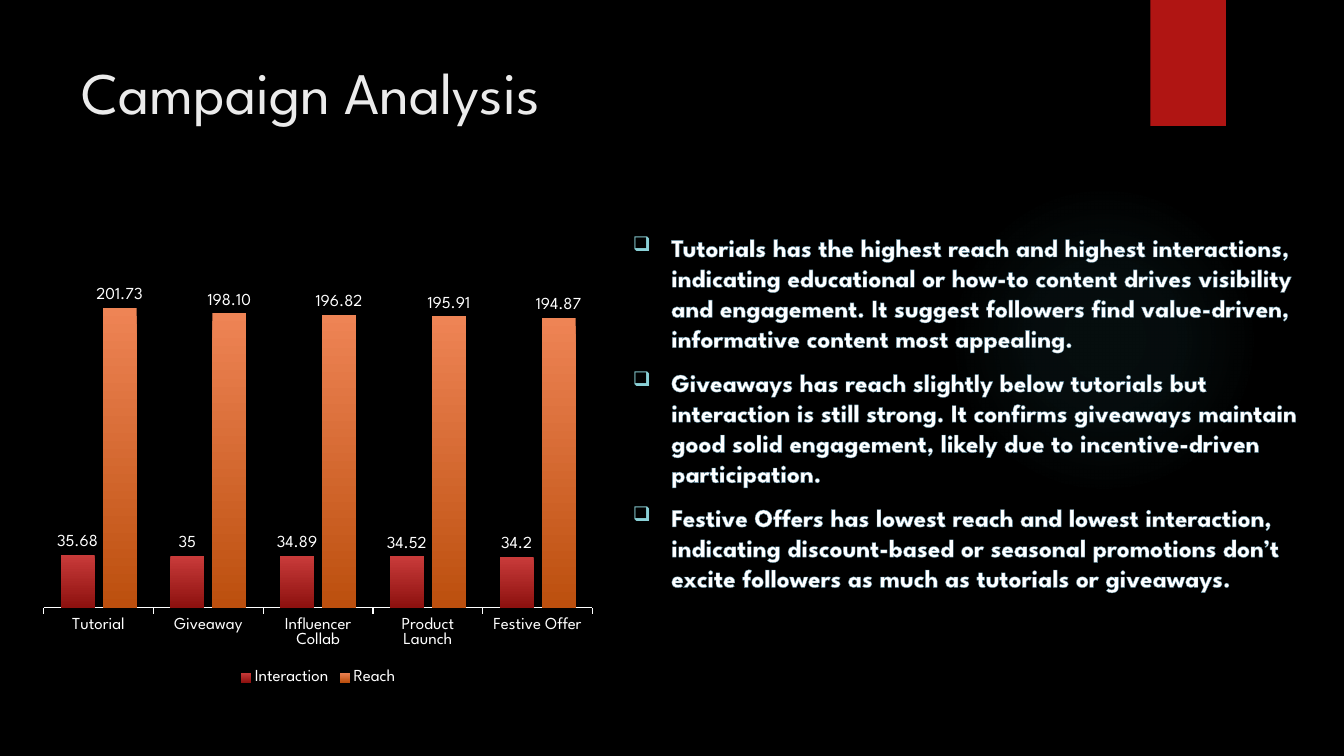
from lxml import etree
from pptx import Presentation
from pptx.chart.data import CategoryChartData
from pptx.dml.color import RGBColor
from pptx.enum.chart import XL_CHART_TYPE, XL_LABEL_POSITION, XL_LEGEND_POSITION, XL_TICK_MARK
from pptx.enum.shapes import MSO_SHAPE
from pptx.oxml import parse_xml
from pptx.oxml.ns import nsdecls, qn
from pptx.util import Inches, Pt

COLUMNS = XL_CHART_TYPE.COLUMN_CLUSTERED
OUTSIDE_END = XL_LABEL_POSITION.OUTSIDE_END
BOTTOM = XL_LEGEND_POSITION.BOTTOM
TICK_OUT = XL_TICK_MARK.OUTSIDE
OVAL = MSO_SHAPE.OVAL
RECTANGLE = MSO_SHAPE.RECTANGLE

FONT = "League Spartan"
COLORS = {
    "background": "000000", "glow": "50B9C1", "ribbon": "B01513",
    "title": "EBEBEB", "text": "FFFFFF", "outline": "54849A", "bullet": "8AD0D6",
    "red_top": "C93B3A", "red_bottom": "8D110F",
    "orange_top": "EE8455", "orange_bottom": "BC4F0E",
}
LINEAR = '<a:lin ang="5400000" scaled="0"/>'
RADIAL = '<a:path path="circle"><a:fillToRect l="50000" t="50000" r="50000" b="50000"/></a:path>'

CATEGORIES = ["Tutorial", "Giveaway", "Influencer Collab", "Product Launch", "Festive Offer"]
# name, values, number format, top color, bottom color
SERIES = [
    ("Interaction", [35.68, 35, 34.89, 34.52, 34.2], "General", "red_top", "red_bottom"),
    ("Reach", [201.73, 198.1, 196.82, 195.91, 194.87], "#,##0.00", "orange_top", "orange_bottom"),
]
FINDINGS = [
    "Tutorials has the highest reach and highest interactions, indicating educational or "
    "how-to content drives visibility and engagement. It suggest followers find value-driven, "
    "informative content most appealing.",
    "Giveaways has reach slightly below tutorials but interaction is still strong. It confirms "
    "giveaways maintain good solid engagement, likely due to incentive-driven participation.",
    "Festive Offers has lowest reach and lowest interaction, indicating discount-based or "
    "seasonal promotions don’t excite followers as much as tutorials or giveaways.",
]


def rgb(name):
    return RGBColor.from_string(COLORS[name])


class SlideBuilder:
    def __init__(self, slide):
        self.slide = slide
        slide.background.fill.solid()
        slide.background.fill.fore_color.rgb = rgb("background")

    def style(self, font, size, color="text", bold=False):
        font.name, font.size, font.bold = FONT, Pt(size), bold
        font.color.rgb = rgb(color)

    def gradient(self, fill, spPr, stops, direction):
        """Stops are (position %, color, opacity %)."""
        fill.solid()
        gs = "".join(
            f'<a:gs pos="{pos * 1000}"><a:srgbClr val="{COLORS[color]}">'
            f'<a:alpha val="{alpha * 1000}"/></a:srgbClr></a:gs>'
            for pos, color, alpha in stops)
        grad = parse_xml(f'<a:gradFill {nsdecls("a")} rotWithShape="1">'
                         f'<a:gsLst>{gs}</a:gsLst>{direction}</a:gradFill>')
        spPr.replace(spPr.find(qn("a:solidFill")), grad)

    def shape(self, kind, box, color):
        sp = self.slide.shapes.add_shape(kind, *map(Inches, box))
        sp.fill.solid()
        sp.fill.fore_color.rgb = rgb(color)
        sp.line.fill.background()
        sp.shadow.inherit = False
        return sp

    def glow(self, box):
        sp = self.shape(OVAL, box, "glow")
        stops = [(0, "glow", 7), (36, "glow", 6), (69, "glow", 0)]
        self.gradient(sp.fill, sp._element.spPr, stops, RADIAL)

    def ribbon(self, box):
        sp = self.shape(RECTANGLE, box, "ribbon")
        effects = sp._element.spPr.find(qn("a:effectLst"))
        effects.append(parse_xml(
            f'<a:outerShdw {nsdecls("a")} blurRad="{Pt(3)}" dist="{Pt(2)}" dir="5400000" '
            'rotWithShape="0"><a:srgbClr val="000000"><a:alpha val="45000"/></a:srgbClr></a:outerShdw>'))

    def text(self, box, paragraphs, size, color, bold=False):
        tf = self.slide.shapes.add_textbox(*map(Inches, box)).text_frame
        tf.word_wrap = True
        tf.text = "\n".join(paragraphs)
        for p in tf.paragraphs:
            self.style(p.runs[0].font, size, color, bold)
        return tf

    def bullets(self, box, paragraphs):
        for p in self.text(box, paragraphs, 18, "text", bold=True).paragraphs:
            p.space_before = Pt(10)
            pPr = p._p.get_or_add_pPr()
            pPr.set("marL", str(Inches(0.38)))
            pPr.set("indent", str(Inches(-0.38)))
            color = etree.SubElement(pPr, qn("a:buClr"))
            etree.SubElement(color, qn("a:srgbClr"), val=COLORS["bullet"])
            etree.SubElement(pPr, qn("a:buSzPct"), val="80000")
            etree.SubElement(pPr, qn("a:buChar"), char="❑")
            p.runs[0]._r.get_or_add_rPr().insert(0, parse_xml(
                f'<a:ln {nsdecls("a")} w="{Pt(0.8)}"><a:solidFill>'
                f'<a:srgbClr val="{COLORS["outline"]}"/></a:solidFill></a:ln>'))

    def chart(self, box, categories, series):
        data = CategoryChartData()
        data.categories = categories
        for name, values, number_format, *_ in series:
            data.add_series(name, values, number_format)
        chart = self.slide.shapes.add_chart(COLUMNS, *map(Inches, box), data).chart
        self.style(chart.font, 10)
        chart.has_title = False

        # Axes and legend
        axis = chart.category_axis
        axis.major_tick_mark = TICK_OUT
        axis.format.line.color.rgb = rgb("text")
        axis.format.line.width = Pt(1)
        self.style(axis.tick_labels.font, 12)
        values_axis = chart.value_axis
        values_axis.visible = False
        values_axis.has_major_gridlines = False
        values_axis.minimum_scale, values_axis.maximum_scale = 0, 250
        chart.has_legend = True
        chart.legend.position = BOTTOM
        chart.legend.include_in_layout = False
        self.style(chart.legend.font, 12)

        # Columns and their labels
        plot = chart.plots[0]
        plot.gap_width, plot.overlap, plot.vary_by_categories = 100, -24, False
        for s, (_, _, number_format, top, bottom) in zip(plot.series, series):
            s.invert_if_negative = False
            self.gradient(s.format.fill, s._element.get_or_add_spPr(),
                          [(0, top, 100), (100, bottom, 100)], LINEAR)
            labels = s.data_labels
            labels.show_value = True
            labels.position = OUTSIDE_END
            labels.number_format = number_format
            labels.number_format_is_linked = False
            self.style(labels.font, 12)


def main():
    prs = Presentation()
    prs.slide_width, prs.slide_height = Inches(13.33), Inches(7.5)
    s = SlideBuilder(prs.slides.add_slide(prs.slide_layouts[6]))

    # Backdrop
    s.glow((9.41, 1.83, 3.08, 3.08))
    s.ribbon((11.41, 0, 0.75, 1.25))

    # Content
    s.text((0.71, 0.5, 10.29, 1.53), ["Campaign Analysis"], 42, "title")
    s.chart((0.32, 2.25, 5.67, 4.59), CATEGORIES, SERIES)
    s.bullets((6.18, 2.25, 6.83, 4.59), FINDINGS)

    prs.save("out.pptx")


if __name__ == "__main__":
    main()
